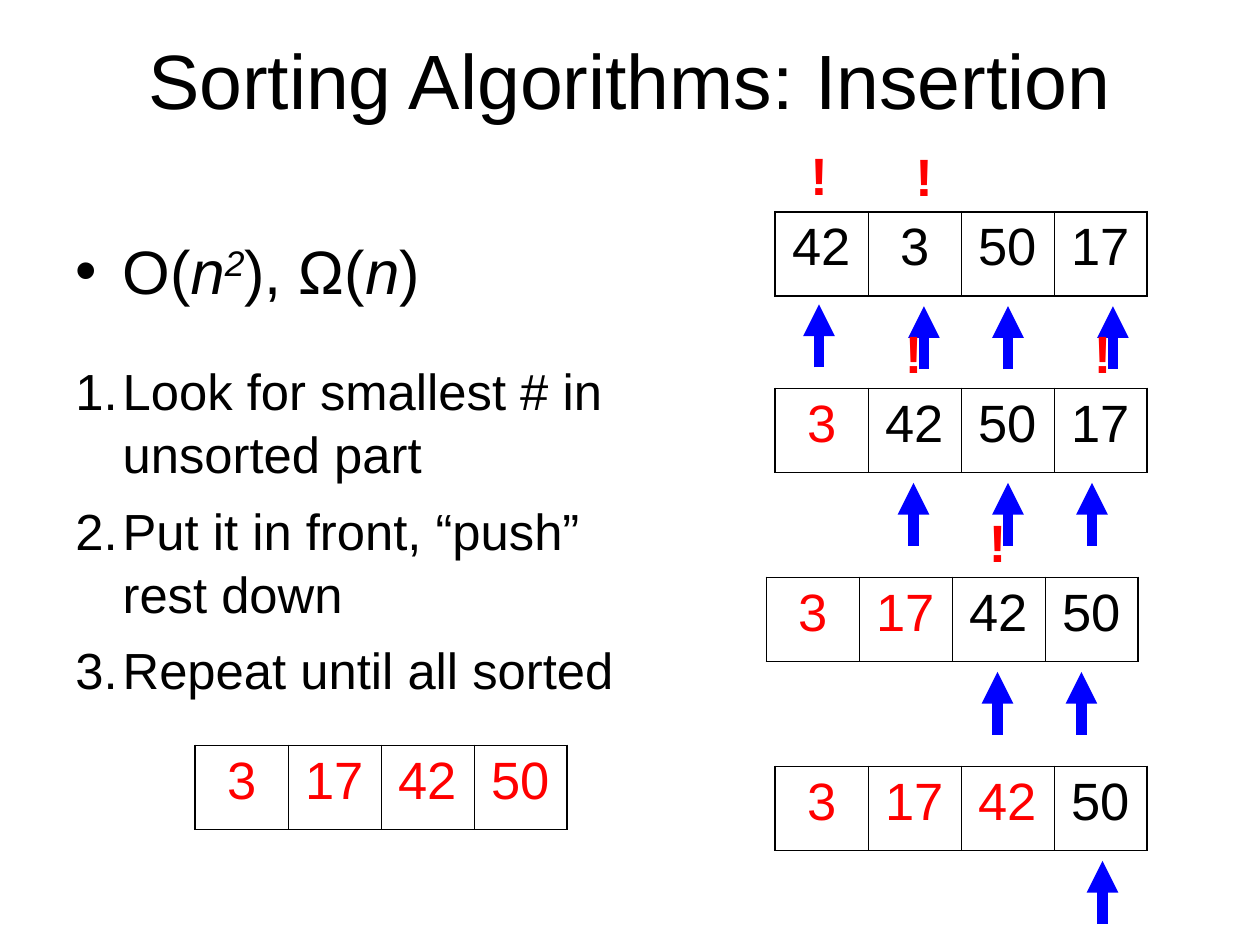
from lxml import etree
from pptx import Presentation
from pptx.dml.color import RGBColor
from pptx.enum import shapes, text
from pptx.oxml.ns import qn
from pptx.util import Pt

COLORS = {"ink": "000000", "sorted": "FF0000", "arrow": "0000FF"}
FONT = "Arial"
CELL_W, CELL_H = 53.1, 48
INDENT = 27


def rgb(name):
    return RGBColor.from_string(COLORS[name])


def add_run(p, words, size, color="ink", **extra):
    r = p.add_run()
    r.text = words
    for key, value in {"name": FONT, "size": Pt(size), **extra}.items():
        setattr(r.font, key, value)
    r.font.color.rgb = rgb(color)
    return r


def add_box(s, x, y, w, h, anchor=text.MSO_ANCHOR.TOP):
    tf = s.shapes.add_textbox(Pt(x), Pt(y), Pt(w), Pt(h)).text_frame
    tf.word_wrap = True
    tf.vertical_anchor = anchor
    return tf


def add_bullet(p, tag, **attrs):
    pPr = p._p.get_or_add_pPr()
    pPr.set("marL", str(Pt(INDENT)))
    pPr.set("indent", str(-Pt(INDENT)))
    font = etree.SubElement(pPr, qn("a:buFont"))
    font.set("typeface", FONT)
    bullet = etree.SubElement(pPr, qn(tag))
    for key, value in attrs.items():
        bullet.set(key, value)


def add_title(s, x, y, w, h):
    p = add_box(s, x, y, w, h, text.MSO_ANCHOR.MIDDLE).paragraphs[0]
    p.alignment = text.PP_ALIGN.CENTER
    add_run(p, "Sorting Algorithms: Insertion", 44)


def add_body(s, x, y, w, h):
    tf = add_box(s, x, y, w, h)

    # Complexity
    p = tf.paragraphs[0]
    p.line_spacing = 1.045
    add_bullet(p, "a:buChar", char="•")
    add_run(p, "O(", 35)
    add_run(p, "n", 35, italic=True)
    power = add_run(p, "2", 35, italic=True)
    power.font._element.set("baseline", "30000")
    add_run(p, "), Ω(", 35)
    add_run(p, "n", 35, italic=True)
    add_run(p, ")", 35)

    # Numbered steps
    steps = ["Look for smallest # in unsorted part",
             "Put it in front, “push” rest down",
             "Repeat until all sorted"]
    for i, step in enumerate(steps):
        p = tf.add_paragraph()
        p.line_spacing = 1.045
        p.space_before = Pt(7.3 if i else 29)
        add_bullet(p, "a:buAutoNum", type="arabicPeriod")
        add_run(p, step, 29)


def set_borders(cell, **widths):
    tcPr = cell._tc.get_or_add_tcPr()
    for i, (side, width) in enumerate(widths.items()):
        ln = etree.Element(qn("a:" + side), w=str(Pt(width)))
        fill = etree.SubElement(ln, qn("a:solidFill"))
        etree.SubElement(fill, qn("a:srgbClr"), val=COLORS["ink"])
        tcPr.insert(i, ln)


def add_array(s, x, y, values, sorted_count):
    n = len(values)
    table = s.shapes.add_table(1, n, Pt(x), Pt(y), Pt(n * CELL_W), Pt(CELL_H)).table
    table.first_row = table.horz_banding = False
    for i, value in enumerate(values):
        table.columns[i].width = Pt(CELL_W)
        cell = table.cell(0, i)
        cell.fill.background()
        set_borders(cell, lnL=0.45 if i else 1.08, lnR=0.45 if i < n - 1 else 1.08,
                    lnT=1.08, lnB=1.08)
        p = cell.text_frame.paragraphs[0]
        p.alignment = text.PP_ALIGN.CENTER
        add_run(p, str(value), 30, "sorted" if i < sorted_count else "ink")


def add_arrow(s, x, y, length=36):
    c = s.shapes.add_connector(shapes.MSO_CONNECTOR.STRAIGHT,
                               Pt(x), Pt(y + length), Pt(x), Pt(y))
    c.line.color.rgb = rgb("arrow")
    c.line.width = Pt(6)
    etree.SubElement(c.line._get_or_add_ln(), qn("a:tailEnd"), type="triangle")
    etree.SubElement(c._element.spPr, qn("a:effectLst"))


def add_pass(s, x, y, values, sorted_count, arrows=(), bangs=()):
    """One sorting pass: array, scan arrows below, marks above."""
    add_array(s, x, y, values, sorted_count)
    for dx, dy in arrows:
        add_arrow(s, x + dx, y + CELL_H + 6 + dy)
    for dx, dy, w in bangs:
        p = add_box(s, x + dx - 12, y - 42 + dy, w, 43.2).paragraphs[0]
        add_run(p, "!", 30, "sorted", bold=True)


def main():
    prs = Presentation()
    prs.slide_width, prs.slide_height = Pt(720), Pt(540)
    s = prs.slides.add_slide(prs.slide_layouts[6])
    add_title(s, 36, 0, 648, 90)
    add_body(s, 36, 128, 354, 354)

    # Passes down the right side, then the finished array
    add_pass(s, 443, 121, [42, 3, 50, 17], 0,
             [(25, -1), (85, 0), (133, 0), (193, 0)], [(25, -1, 36), (85, 0, 48)])
    add_pass(s, 443, 222, [3, 42, 50, 17], 1,
             [(79, 0), (133, 0), (181, 0)], [(79, 0, 48), (187, 0, 48)])
    add_pass(s, 438, 330, [3, 17, 42, 50], 2,
             [(132, 0), (180, 0)], [(132, 0, 48)])
    add_pass(s, 443, 438, [3, 17, 42, 50], 3, [(187, 0)])
    add_pass(s, 111.6, 426, [3, 17, 42, 50], 4)
    prs.save("out.pptx")


if __name__ == "__main__":
    main()
